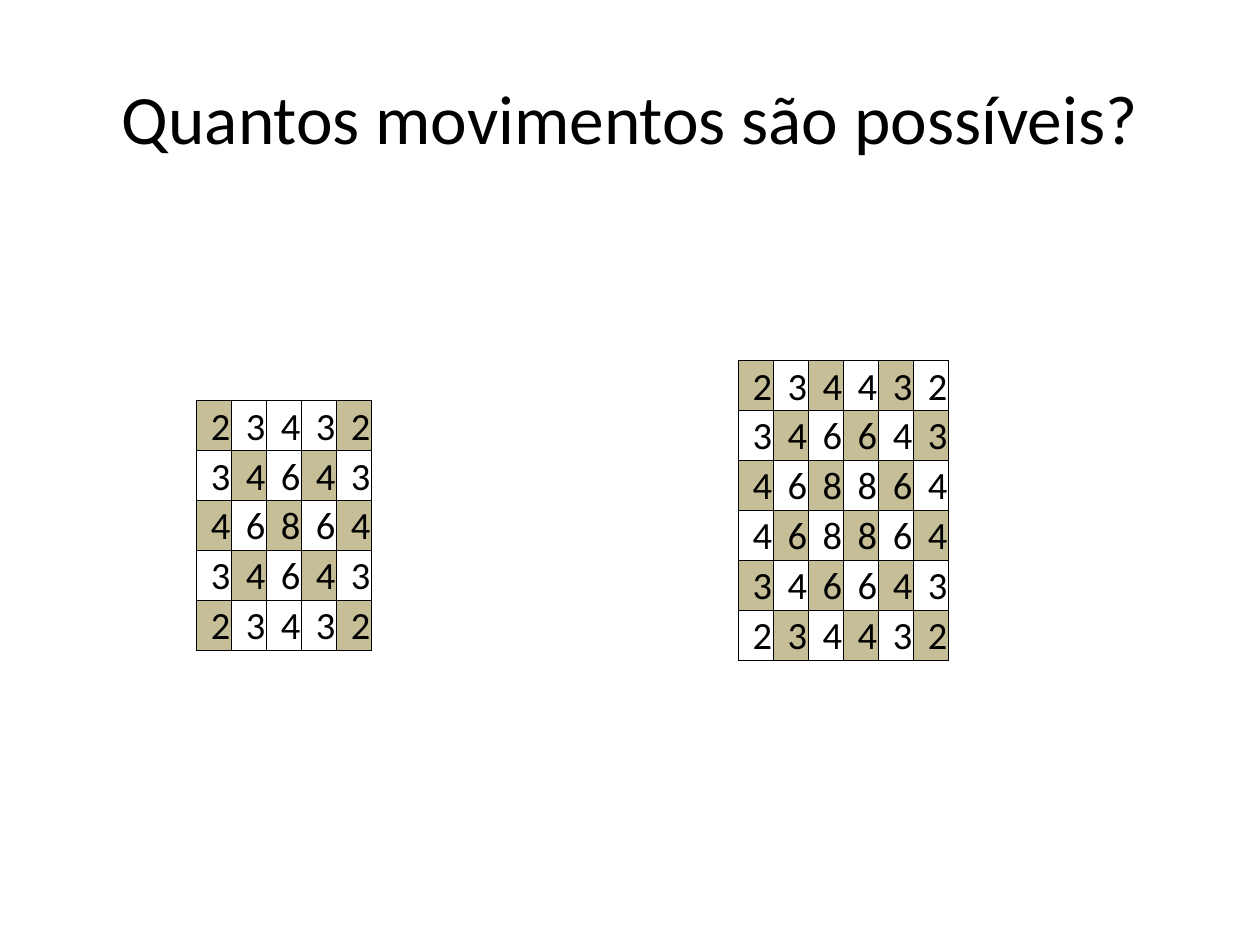
from pptx import Presentation, util as u
from pptx.dml.color import RGBColor
from pptx.enum import text
from pptx.oxml import parse_xml
from pptx.oxml.ns import nsdecls

BLACK = RGBColor(0x00, 0x00, 0x00)
TAN = RGBColor(0xC5, 0xBE, 0x97)
KNIGHT_JUMPS = [(1, 2), (2, 1), (-1, 2), (-2, 1),
                (1, -2), (2, -1), (-1, -2), (-2, -1)]


def knight_moves(size, row, column):
    return sum(0 <= row + down < size and 0 <= column + across < size
               for down, across in KNIGHT_JUMPS)


class BoardSlide:
    font = "Calibri"

    def __init__(self, deck):
        self.page = deck.slides.add_slide(deck.slide_layouts[6])

    def label(self, frame, words, size, align):
        frame.text = words
        para = frame.paragraphs[0]
        para.alignment = align
        span = para.runs[0]
        span.font.name = self.font
        span.font.size = u.Pt(size)
        span.font.color.rgb = BLACK

    def title(self, words, left, top, width, height):
        box = self.page.shapes.add_textbox(
            u.Inches(left), u.Inches(top), u.Inches(width), u.Inches(height))
        frame = box.text_frame
        frame.word_wrap = True
        self.label(frame, words, 39.6, text.PP_ALIGN.CENTER)
        frame.vertical_anchor = text.MSO_ANCHOR.MIDDLE

    def border(self, cell):
        properties = cell._tc.get_or_add_tcPr()
        for side in ("lnL", "lnR", "lnT", "lnB"):
            properties.append(parse_xml(
                f'<a:{side} {nsdecls("a")} w="{u.Pt(0.5)}"><a:solidFill>'
                f'<a:srgbClr val="{BLACK}"/></a:solidFill></a:{side}>'))

    def board(self, size, left, top, width, height, plain=()):
        table = self.page.shapes.add_table(
            size, size, u.Inches(left), u.Inches(top),
            u.Inches(width), u.Inches(height)).table
        table.first_row = False
        table.horz_banding = False
        for row in range(size):
            for column in range(size):
                cell = table.cell(row, column)
                cell.margin_left = cell.margin_right = u.Inches(0.01)
                cell.margin_top = u.Inches(0.01)
                cell.margin_bottom = 0
                cell.vertical_anchor = text.MSO_ANCHOR.BOTTOM
                self.label(cell.text_frame, str(knight_moves(size, row, column)),
                           22, text.PP_ALIGN.RIGHT)
                self.border(cell)
                if (row + column) % 2 == 0 and (row, column) not in plain:
                    cell.fill.solid()
                    cell.fill.fore_color.rgb = TAN
                else:
                    cell.fill.background()


def main():
    deck = Presentation()
    deck.slide_width = u.Inches(10)
    deck.slide_height = u.Inches(7.5)
    slide = BoardSlide(deck)
    slide.title("Quantos movimentos são possíveis?", 0.5, 0.3, 9, 1.25)
    slide.board(5, 1.56, 3.18, 1.39, 1.98, plain=[(0, 2), (4, 2)])
    slide.board(6, 5.86, 2.86, 1.67, 2.38)
    deck.save("out.pptx")


if __name__ == "__main__":
    main()
